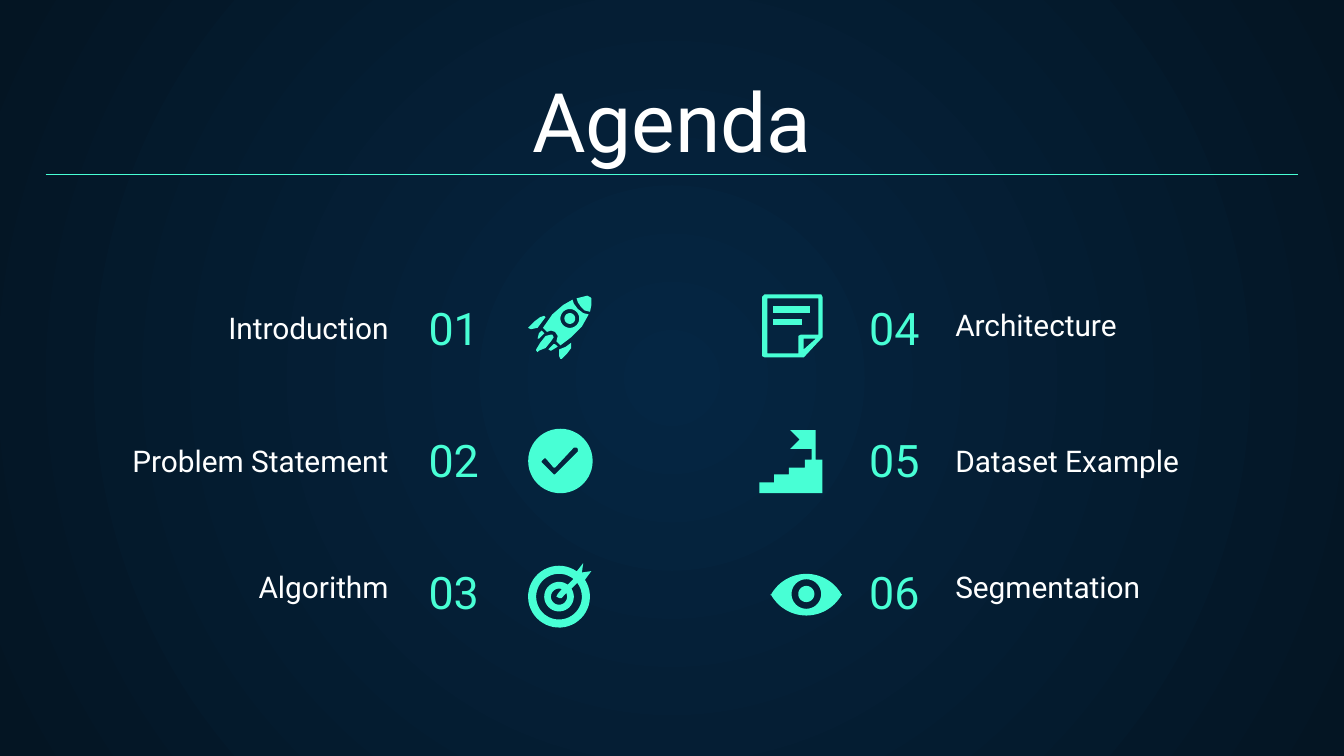
import math
from dataclasses import dataclass

from lxml import etree
from pptx import Presentation
from pptx.dml.color import RGBColor
from pptx.enum import shapes, text
from pptx.oxml import ns, parse_xml
from pptx.util import Inches, Pt


@dataclass(frozen=True)
class Theme:
    font: str = "Roboto"
    center: str = "052643"
    edge: str = "041523"
    accent: str = "48FFD5"
    white: str = "FFFFFF"
    title: int = 44
    number: int = 24
    label: int = 16


theme = Theme()


def arc(cx, cy, radius, start=0, end=360, steps=48):
    """Return points along an arc; angles run clockwise in degrees from the right."""
    angles = [math.radians(start + (end - start) * i / steps) for i in range(steps + 1)]
    return [(cx + radius * math.cos(a), cy + radius * math.sin(a)) for a in angles]


def add_icon(*contours):
    """Draw one filled outline; contours inside the first one cut holes."""
    builder = None
    for contour in contours:
        points = [(Inches(x), Inches(y)) for x, y in contour]
        if builder is None:
            builder = s.shapes.build_freeform(*points[0], scale=1.0)
        else:
            builder.move_to(*points[0])
        builder.add_line_segments(points[1:], close=True)
    sp = builder.convert_to_shape()
    sp.shadow.inherit = False
    sp.fill.solid()
    sp.fill.fore_color.rgb = RGBColor.from_string(theme.accent)
    sp.line.fill.background()
    return sp


prs = Presentation()
prs.slide_width = Inches(10)
prs.slide_height = Inches(10 * 9 / 16)
s = prs.slides.add_slide(prs.slide_layouts.get_by_name("Title Only"))

# Radial background
fill = s.background.fill
fill.gradient()
for stop, color in zip(fill.gradient_stops, (theme.center, theme.edge)):
    stop.color.rgb = RGBColor.from_string(color)
grad = s.background._cSld.find(".//" + ns.qn("a:gradFill"))
grad.replace(grad.find(ns.qn("a:lin")), parse_xml(
    f'<a:path {ns.nsdecls("a")} path="circle">'
    '<a:fillToRect l="50000" t="50000" r="50000" b="50000"/></a:path>'))

# Title, numbers and labels
left, center, right = text.PP_ALIGN.LEFT, text.PP_ALIGN.CENTER, text.PP_ALIGN.RIGHT
texts = [("Agenda", s.shapes.title, (0.34, 0.7, 9.32, 0.66), center, theme.title, theme.white)]
columns = [
    (3.09, left, 0.72, right, [("Introduction", 2.67), ("Problem Statement", 3.66), ("Algorithm", 4.6)]),
    (5.65, right, 7.01, left, [("Architecture", 2.65), ("Dataset Example", 3.66), ("Segmentation", 4.6)]),
]
number = 0
for number_x, number_align, label_x, label_align, topics in columns:
    for row, (topic, bottom) in enumerate(topics):
        number += 1
        texts.append((f"{number:02}", None, (number_x, 2.08 + 0.98 * row, 1.29, 0.66),
                      number_align, theme.number, theme.accent))
        texts.append((topic, None, (label_x, bottom - 0.37, 2.27, 0.37),
                      label_align, theme.label, theme.white))

for wording, sp, box, align, size, color in texts:
    box = [Inches(v) for v in box]
    if sp is None:
        sp = s.shapes.add_textbox(*box)
    sp.left, sp.top, sp.width, sp.height = box
    tf = sp.text_frame
    tf.word_wrap = True
    tf.auto_size = text.MSO_AUTO_SIZE.NONE
    tf.vertical_anchor = text.MSO_ANCHOR.BOTTOM
    tf.margin_left = tf.margin_right = tf.margin_top = tf.margin_bottom = Inches(0.1)
    p = tf.paragraphs[0]
    p.alignment = align
    r = p.add_run()
    r.text = wording
    r.font.name, r.font.size = theme.font, Pt(size)
    r.font.color.rgb = RGBColor.from_string(color)

# Rule under the title
rule = s.shapes.add_connector(shapes.MSO_CONNECTOR.STRAIGHT,
                              Inches(0.34), Inches(1.3), Inches(9.66), Inches(1.3))
rule.line.color.rgb = RGBColor.from_string(theme.accent)
rule.line.width = Pt(0.75)
etree.SubElement(rule._element.spPr, ns.qn("a:effectLst"))

# Rocket: flames, fins, nose and body with a window
rocket = [
    add_icon([(4.03, 2.46), (4.01, 2.48), (4, 2.52), (4.01, 2.52), (4.05, 2.48)]),
    add_icon([(4.13, 2.56), (4.12, 2.56), (4.08, 2.6), (4.1, 2.61), (4.15, 2.58)]),
    add_icon([(4.1, 2.49), (4.06, 2.5), (4.02, 2.55), (3.99, 2.6), (3.99, 2.61), (4, 2.62),
              (4.01, 2.61), (4.06, 2.59), (4.1, 2.54), (4.12, 2.51), (4.11, 2.49)]),
    add_icon([(4.05, 2.35), (4.02, 2.36), (3.98, 2.39), (3.94, 2.43), (3.93, 2.44),
              (3.95, 2.45), (4, 2.44), (4.03, 2.4), (4.06, 2.36)]),
    add_icon([(4.25, 2.55), (4.21, 2.58), (4.16, 2.6), (4.16, 2.65), (4.17, 2.67),
              (4.18, 2.67), (4.22, 2.63), (4.25, 2.59)]),
    add_icon(arc(4.24, 2.37, 0.04)),
    add_icon([(4.37, 2.2), (4.33, 2.21), (4.29, 2.22), (4.3, 2.25), (4.32, 2.28),
              (4.35, 2.31), (4.39, 2.32), (4.4, 2.27), (4.4, 2.22), (4.39, 2.21)]),
    add_icon([(4.26, 2.23), (4.19, 2.27), (4.11, 2.34), (4.04, 2.44), (4.07, 2.47),
              (4.1, 2.46), (4.13, 2.47), (4.15, 2.5), (4.14, 2.54), (4.17, 2.57),
              (4.25, 2.51), (4.33, 2.43), (4.38, 2.34), (4.34, 2.33), (4.3, 2.3),
              (4.27, 2.26)],
             arc(4.24, 2.37, 0.07)),
]
s.shapes.add_group_shape(rocket)

# Check mark in a disc
add_icon(arc(4.17, 3.43, 0.24),
         [(4.28, 3.33), (4.29, 3.33), (4.3, 3.34), (4.3, 3.36), (4.13, 3.53), (4.12, 3.53),
          (4.03, 3.44), (4.03, 3.43), (4.05, 3.41), (4.06, 3.41), (4.12, 3.48), (4.13, 3.48),
          (4.27, 3.33)])

# Target with an arrow
tx, ty = 4.16, 4.44
add_icon([(4.34, 4.19), *arc(tx, ty, 0.23, -55, -393), (4.4, 4.25), (4.33, 4.26)],
         arc(tx, ty, 0.17, -51, -397) + arc(tx, ty, 0.11, -393, -54),
         arc(tx, ty, 0.06, -70, -387)
         + [(4.18, 4.45), (4.16, 4.45), (4.14, 4.44), (4.15, 4.42)])

# Note with a folded corner and two lines of writing
add_icon([(5.69, 2.19), (5.67, 2.21), (5.67, 2.65), (5.69, 2.66), (5.98, 2.66),
          (6.12, 2.51), (6.12, 2.21), (6.11, 2.19)],
         [(5.71, 2.22), (6.09, 2.22), (6.09, 2.49), (5.96, 2.49), (5.94, 2.5),
          (5.94, 2.63), (5.71, 2.63)],
         [(6.07, 2.52), (5.98, 2.6), (5.98, 2.52)])
for y, end in ((2.28, 6.03), (2.37, 5.97)):
    add_icon([(5.75, y), (end, y), (end, y + 0.05), (5.75, y + 0.05)])

# Stairs with a flag
add_icon([(5.88, 3.2), (5.95, 3.27), (5.88, 3.34), (6.04, 3.34), (6.04, 3.42), (5.99, 3.42),
          (5.99, 3.48), (5.87, 3.48), (5.87, 3.53), (5.76, 3.53), (5.76, 3.59), (5.65, 3.59),
          (5.65, 3.67), (6.12, 3.67), (6.12, 3.42), (6.07, 3.42), (6.07, 3.2)])

# Eye
add_icon(arc(6, 4.57, 0.3, -152, -28) + arc(6, 4.28, 0.3, 28, 152),
         arc(6, 4.42, 0.11), arc(6, 4.42, 0.06))

prs.save("out.pptx")
